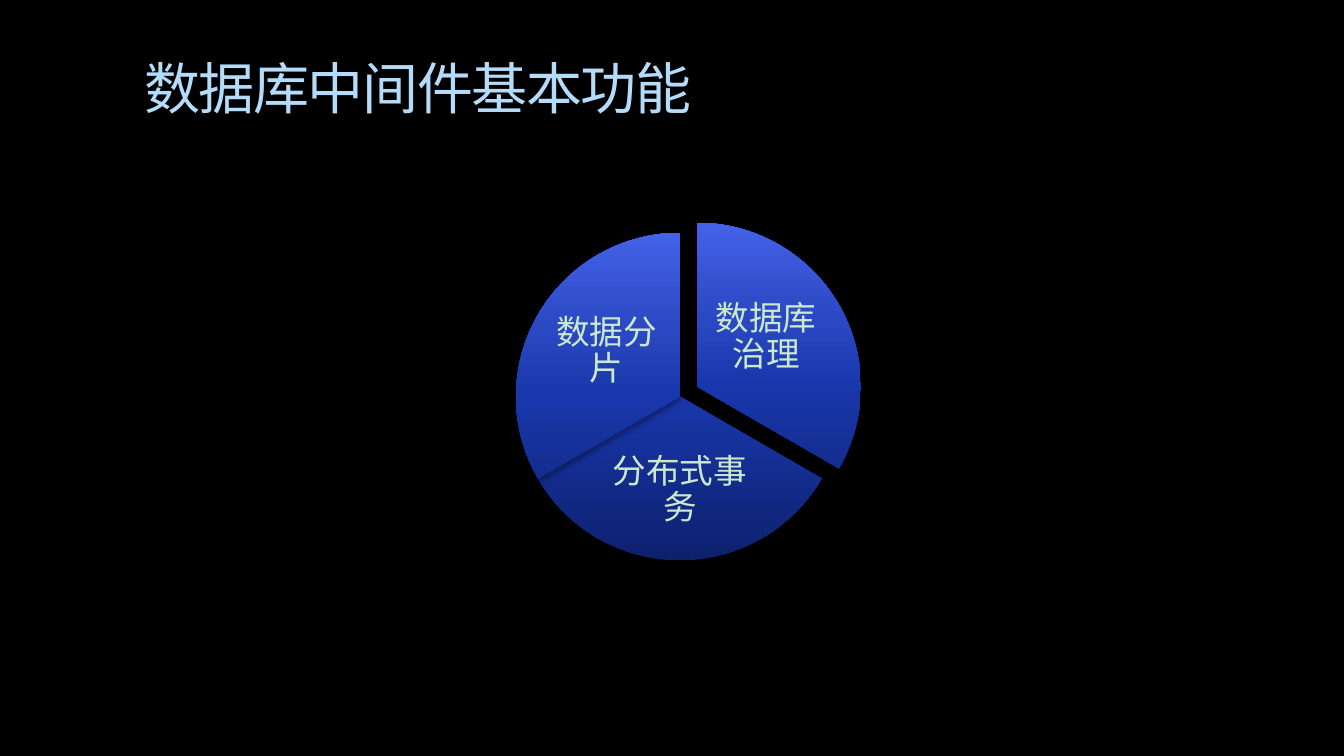
"""Builds a slide with a three-slice pie of basic database middleware functions."""
from lxml import etree
from pptx import Presentation, util as u
from pptx.dml.color import RGBColor
from pptx.enum import shapes, text
from pptx.oxml import ns

COLORS = {"background": "000000", "title": "B4DCFA", "label": "CCE8CF", "shadow": "000000"}
GRADIENT = [(0, "0D216D"), (50, "1937AC"), (70, "2A48C1"), (100, "4462E8")]
DIAMETER = 234
SLICES = [
    ("数据库治理", (380.9, 159.1), (162, 18), (507.6, 202.3, 79.2, 77.8)),
    ("分布式事务", (368.6, 166.3), (18, 90), (432.7, 313.9, 105.8, 72.7)),
    ("数据分片", (368.6, 166.3), (90, 162), (393.8, 212.4, 79.2, 77.8)),
]


def add_color(parent, color, **attributes):
    node = etree.SubElement(parent, ns.qn("a:srgbClr"), val=color)
    for name, value in attributes.items():
        etree.SubElement(node, ns.qn(f"a:{name}"), val=str(value))


def add_label(slide, wording, box, size, font, color):
    frame = slide.shapes.add_textbox(*map(u.Pt, box)).text_frame
    frame.word_wrap = True
    line = frame.paragraphs[0]
    line.text = wording
    line.line_spacing = 0.9
    line.font.size = u.Pt(size)
    line.font.name = font
    line.font.color.rgb = RGBColor.from_string(color)
    return frame


deck = Presentation()
deck.slide_width, deck.slide_height = u.Pt(960), u.Pt(540)
slide = deck.slides.add_slide(deck.slide_layouts[6])
slide.background.fill.solid()
slide.background.fill.fore_color.rgb = RGBColor.from_string(COLORS["background"])

heading = add_label(slide, "数据库中间件基本功能", (96, 40.3, 816, 72),
                    40, "Noto Sans CJK SC", COLORS["title"])
heading_font = heading.paragraphs[0].runs[0].font
heading_font.name = "Noto Sans CJK SC"
heading_props = heading.paragraphs[0].runs[0]._r.get_or_add_rPr()
heading_props.set("spc", "-100")
etree.SubElement(heading_props, ns.qn("a:ea"), typeface="Noto Sans CJK SC")

for wording, (left, top), angles, label_box in SLICES:
    wedge = slide.shapes.add_shape(shapes.MSO_SHAPE.PIE, u.Pt(left), u.Pt(top),
                                   u.Pt(DIAMETER), u.Pt(DIAMETER))
    wedge.adjustments[0], wedge.adjustments[1] = angles
    wedge.line.fill.background()
    wedge.fill.gradient()
    wedge.fill.gradient_angle = 90
    stops = wedge._element.spPr.find(".//" + ns.qn("a:gsLst"))
    for stop in list(stops):
        stops.remove(stop)
    for position, color in GRADIENT:
        add_color(etree.SubElement(stops, ns.qn("a:gs"), pos=str(position * 1000)), color)

    wedge.shadow.inherit = False
    effects = wedge._element.spPr.find(ns.qn("a:effectLst"))
    shadow = etree.SubElement(effects, ns.qn("a:outerShdw"), blurRad=str(u.Pt(4)),
                              dist=str(u.Pt(3)), dir="5400000", rotWithShape="0")
    add_color(shadow, COLORS["shadow"], alpha=35000)

    label = add_label(slide, wording, label_box, 24, "Arial", COLORS["label"])
    label.vertical_anchor = text.MSO_ANCHOR.MIDDLE
    label.margin_left = label.margin_right = u.Pt(2.4)
    label.margin_top = label.margin_bottom = u.Pt(2.4)
    label.paragraphs[0].alignment = text.PP_ALIGN.CENTER
    label.paragraphs[0].space_after = u.Pt(8.4)

deck.save("out.pptx")
